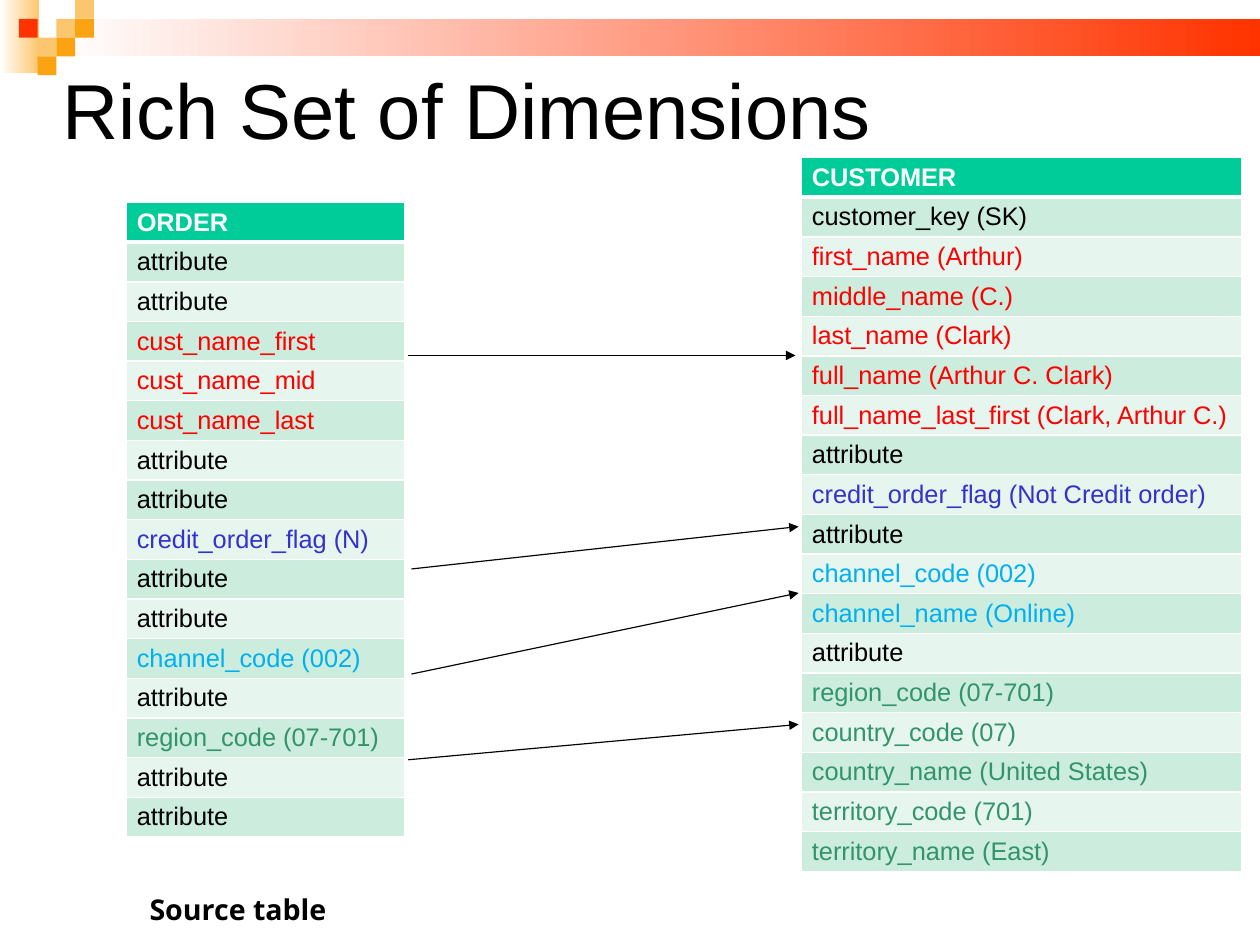
"""Build the slide that maps an order table to a customer dimension."""
from lxml.etree import SubElement
from pptx import Presentation
from pptx.dml.color import RGBColor
from pptx.enum.shapes import MSO_CONNECTOR, MSO_SHAPE
from pptx.enum.text import MSO_ANCHOR
from pptx.oxml.ns import qn
from pptx.util import Pt

HUES = {
    "black": "000000", "white": "FFFFFF", "head": "00CC99",
    "dark": "CCECDD", "light": "E7F5EF", "name": "FF0000",
    "flag": "3333CC", "channel": "00B0F0", "region": "32946A",
    "red": "FF3300", "pale": "FCC66E", "gold": "FBA313",
}
TILE = 11.85
TILES = [
    (3, 1, "pale"), (4, 0, "pale"), (4, 1, "gold"), (2, 2, "pale"),
    (1, 1, "red"), (3, 2, "gold"), (2, 3, "gold"),
]
GAP = ("attribute", "black")
ORDER = [
    GAP, GAP,
    ("cust_name_first", "name"),
    ("cust_name_mid", "name"),
    ("cust_name_last", "name"),
    GAP, GAP,
    ("credit_order_flag (N)", "flag"),
    GAP, GAP,
    ("channel_code (002)", "channel"),
    GAP,
    ("region_code (07-701)", "region"),
    GAP, GAP,
]
CLIENT = [
    ("customer_key (SK)", "black"),
    ("first_name (Arthur)", "name"),
    ("middle_name (C.)", "name"),
    ("last_name (Clark)", "name"),
    ("full_name (Arthur C. Clark)", "name"),
    ("full_name_last_first (Clark, Arthur C.)", "name"),
    GAP,
    ("credit_order_flag (Not Credit order)", "flag"),
    GAP,
    ("channel_code (002)", "channel"),
    ("channel_name (Online)", "channel"),
    GAP,
    ("region_code (07-701)", "region"),
    ("country_code (07)", "region"),
    ("country_name (United States)", "region"),
    ("territory_code (701)", "region"),
    ("territory_name (East)", "region"),
]
ARROWS = [
    (257.2, 223.9, 501.1, 223.9), (259.2, 358.4, 503.1, 331.7),
    (259.2, 424.6, 503.1, 373.5), (257.2, 478.6, 503.1, 456.3),
]


def hue(key):
    """Return the named colour."""
    return RGBColor.from_string(HUES[key])


def write(frame, text, size=16, font="Arial", color="black", bold=False, space=None):
    """Put formatted text into a text frame."""
    line = frame.paragraphs[0]
    line.line_spacing = space
    run = line.add_run()
    run.text = text
    run.font.size = Pt(size)
    run.font.name = font
    run.font.bold = bold
    run.font.color.rgb = hue(color)


def add_text(slide, box, text, pad=(0, 0), **style):
    """Add a wrapped text box with equal side and end margins."""
    frame = slide.shapes.add_textbox(*map(Pt, box)).text_frame
    frame.word_wrap = True
    frame.vertical_anchor = MSO_ANCHOR.MIDDLE
    frame.margin_left = frame.margin_right = Pt(pad[0])
    frame.margin_top = frame.margin_bottom = Pt(pad[1])
    write(frame, text, **style)


def add_block(slide, box, color, fade=False):
    """Add a plain rectangle, solid or fading to white on the left."""
    block = slide.shapes.add_shape(MSO_SHAPE.RECTANGLE, *map(Pt, box))
    block.shadow.inherit = False
    block.line.fill.background()
    if fade:
        block.fill.gradient()
        block.fill.gradient_angle = 180
        for stop, key in zip(block.fill.gradient_stops, (color, "white")):
            stop.color.rgb = hue(key)
    else:
        block.fill.solid()
        block.fill.fore_color.rgb = hue(color)


def edge_cell(cell, top, base):
    """Draw white cell borders with the given top and base widths."""
    props = cell._tc.get_or_add_tcPr()
    for side, width in zip("LRTB", (0.96, 0.96, top, base)):
        line = SubElement(props, qn(f"a:ln{side}"), w=str(Pt(width)))
        fill = SubElement(line, qn("a:solidFill"))
        SubElement(fill, qn("a:srgbClr"), val=HUES["white"])


def add_grid(slide, left, top, width, title, items, step=25):
    """Add a one-column table with a header and banded rows."""
    rows = [(title, "white")] + items
    box = map(Pt, (left, top, width, step * len(rows)))
    table = slide.shapes.add_table(len(rows), 1, *box).table
    for num, (text, color) in enumerate(rows):
        table.rows[num].height = Pt(step)
        cell = table.cell(num, 0)
        cell.vertical_anchor = MSO_ANCHOR.MIDDLE
        cell.margin_left = cell.margin_right = Pt(6.6)
        cell.margin_top = cell.margin_bottom = Pt(2.5)
        edge_cell(cell, 3 if num == 1 else 0.96, 3 if num == 0 else 0.96)
        cell.fill.solid()
        band = "dark" if num % 2 else "light"
        cell.fill.fore_color.rgb = hue(band if num else "head")
        write(cell.text_frame, text, color=color, bold=num == 0)


def add_arrow(slide, ends):
    """Add a thin black arrow between two points."""
    arrow = slide.shapes.add_connector(MSO_CONNECTOR.STRAIGHT, *map(Pt, ends))
    arrow.line.width = Pt(0.75)
    arrow.line.color.rgb = hue("black")
    props = arrow.element.spPr
    SubElement(props.find(qn("a:ln")), qn("a:tailEnd"), type="triangle")
    SubElement(props, qn("a:effectLst"))


def main():
    """Build and save the slide."""
    deck = Presentation()
    deck.slide_width, deck.slide_height = Pt(793.75), Pt(595.25)
    slide = deck.slides.add_slide(deck.slide_layouts[6])
    add_block(slide, (0, 0, 24.9, 46), "pale", fade=True)
    add_block(slide, (36, 11.85, 757.75, 23.6), "red", fade=True)
    for col, row, color in TILES:
        add_block(slide, (col * TILE, row * TILE, TILE, TILE), color)
    add_text(slide, (39.6, 37.2, 702.7, 70.6), "Rich Set of Dimensions",
             size=49, space=0.87)
    add_grid(slide, 79.6, 127.6, 175.4, "ORDER", ORDER)
    add_grid(slide, 504.9, 99.3, 277.6, "CUSTOMER", CLIENT)
    for ends in ARROWS:
        add_arrow(slide, ends)
    add_text(slide, (87.1, 558.4, 142.6, 28.8), "Source table", pad=(7.2, 3.6),
             size=18, font="Open Sans", bold=True)
    deck.save("out.pptx")


if __name__ == "__main__":
    main()
